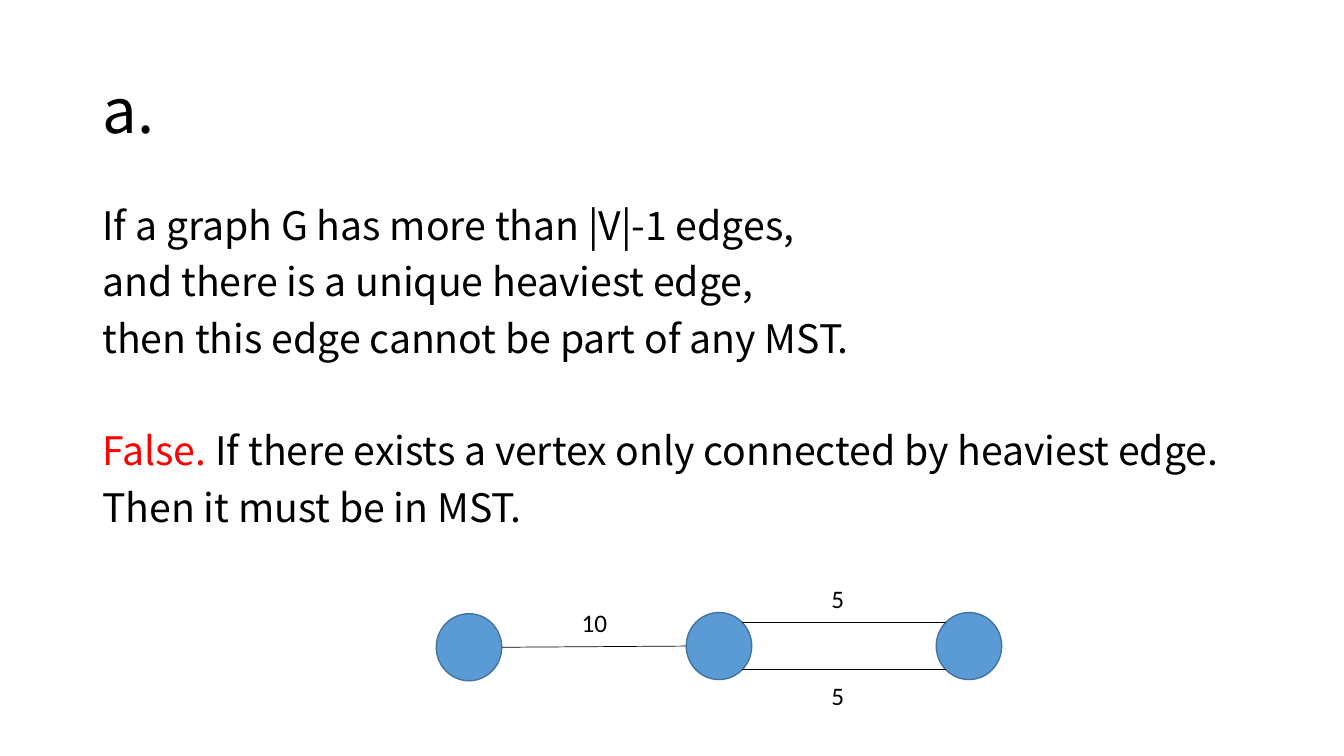
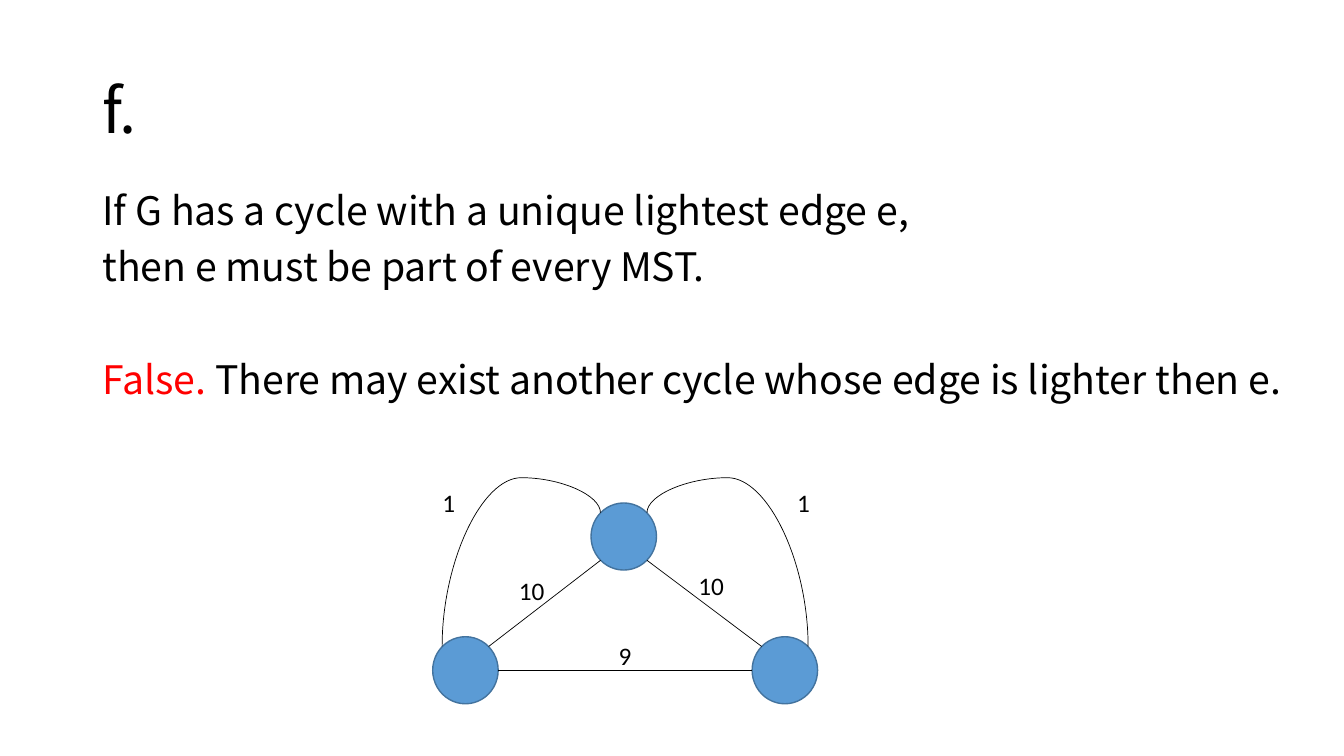
from lxml import etree
from pptx import Presentation
from pptx.dml.color import RGBColor
from pptx.enum.shapes import MSO_CONNECTOR, MSO_SHAPE
from pptx.enum.text import MSO_ANCHOR, MSO_AUTO_SIZE, PP_ALIGN
from pptx.oxml.ns import qn
from pptx.util import Cm, Pt

BLACK = RGBColor(0x00, 0x00, 0x00)
RED = RGBColor(0xFF, 0x00, 0x00)
BLUE = RGBColor(0x5B, 0x9B, 0xD5)
RIM = RGBColor(0x43, 0x73, 0x9E)
FONT = "Noto Sans CJK SC"
LABEL_FONT = "Calibri"
OVAL = MSO_SHAPE.OVAL
STRAIGHT, CURVE = MSO_CONNECTOR.STRAIGHT, MSO_CONNECTOR.CURVE
LEFT = PP_ALIGN.LEFT
TOP, MIDDLE = MSO_ANCHOR.TOP, MSO_ANCHOR.MIDDLE
NO_FIT = MSO_AUTO_SIZE.NONE

# All places and sizes are in centimetres.
SIZE = (33.87, 19.05)
TITLE = (2.33, 1.02, 29.21, 3.68)
NODE = (1.65, 1.69)
LABEL = (1.5, 1.02)

# Line pitch, and the points before a paragraph and before the answer.
PITCH = 0.9
PARA_GAP, PART_GAP = 10, 50.3

# Points on the rim of a node, as parts of its two radii.
DIAG = 0.71
SITES = {
    "left": (-1, 0), "right": (1, 0),
    "top left": (-DIAG, -DIAG), "top right": (DIAG, -DIAG),
    "low left": (-DIAG, DIAG), "low right": (DIAG, DIAG),
}

SLIDES = [
    {
        "title": "a.",
        "body": (2.33, 5.08, 29.21, 9),
        "claim": ["If a graph G has more than |V|-1 edges,",
                  "and there is a unique heaviest edge,",
                  "then this edge cannot be part of any MST."],
        "reason": ["If there exists a vertex only connected by heaviest edge.",
                   "Then it must be in MST."],
        "nodes": {"A": (11.82, 16.31), "B": (18.12, 16.28), "C": (24.42, 16.28)},
        "edges": [("A", "right", "B", "left"),
                  ("B", "top right", "C", "top left"),
                  ("B", "low right", "C", "low left")],
        "curves": [],
        "labels": [("10", 14.41, 15.18), ("5", 20.7, 14.58), ("5", 20.7, 17.02)],
    },
    {
        "title": "f.",
        "body": (2.33, 4.7, 30.43, 7),
        "claim": ["If G has a cycle with a unique lightest edge e,",
                  "then e must be part of every MST."],
        "reason": ["There may exist another cycle whose edge is lighter then e."],
        "nodes": {"A": (11.73, 16.89), "B": (15.72, 13.52), "C": (19.78, 16.89)},
        "edges": [("B", "low left", "A", "top right"),
                  ("B", "low right", "C", "top left"),
                  ("A", "right", "C", "left")],
        "curves": [("B", "top left", "A", "top left"),
                   ("B", "top right", "C", "top right")],
        "labels": [("10", 12.83, 14.38), ("10", 17.35, 14.25), ("9", 15.34, 16),
                   ("1", 10.9, 12.16), ("1", 19.84, 12.16)],
    },
]


def place(shape, box):
    shape.left, shape.top, shape.width, shape.height = map(Cm, box)


def write(shape, paras, size=28, font=FONT, anchor=TOP, pitch=PITCH):
    """Fill a shape; each paragraph is (space before, [(text, colour), ...])."""
    frame = shape.text_frame
    frame.word_wrap = True
    frame.auto_size = NO_FIT
    frame.vertical_anchor = anchor
    for i, (gap, runs) in enumerate(paras):
        para = frame.add_paragraph() if i else frame.paragraphs[0]
        para.alignment = LEFT
        para.line_spacing = pitch
        para.space_before = Pt(gap)
        for text, color in runs:
            run = para.add_run()
            run.text = text
            run.font.size = Pt(size)
            run.font.name = font
            run.font.color.rgb = color


def add_text(slide, box, paras, **style):
    write(slide.shapes.add_textbox(*map(Cm, box)), paras, **style)


def add_body(slide, box, claim, reason):
    paras = [(PARA_GAP if i else 0, [(line, BLACK)]) for i, line in enumerate(claim)]
    paras.append((PART_GAP, [("False. ", RED), (reason[0], BLACK)]))
    paras += [(PARA_GAP, [(line, BLACK)]) for line in reason[1:]]
    add_text(slide, box, paras)


def add_node(slide, x, y):
    w, h = NODE
    node = slide.shapes.add_shape(OVAL, *map(Cm, (x - w / 2, y - h / 2, w, h)))
    node.shadow.inherit = False
    node.fill.solid()
    node.fill.fore_color.rgb = BLUE
    node.line.color.rgb = RIM
    node.line.width = Pt(1)


def rim(center, site):
    return [c + part * size / 2 for c, part, size in zip(center, SITES[site], NODE)]


def add_line(slide, kind, *ends):
    line = slide.shapes.add_connector(kind, *map(Cm, ends))
    line.line.color.rgb = BLACK
    line.line.width = Pt(0.5)
    etree.SubElement(line._element.spPr, qn("a:effectLst"))
    return line


def add_arc(slide, x1, y1, x2, y2):
    """Draw a curve that leaves upwards and comes down on the lower end."""
    midx, midy = (x1 + x2) / 2, (y1 + y2) / 2
    w, h = abs(y2 - y1), abs(x2 - x1)
    arc = add_line(slide, CURVE, midx - w / 2, midy - h / 2, midx + w / 2, midy + h / 2)
    props = arc._element.spPr
    frame = props.find(qn("a:xfrm"))
    frame.set("rot", "16200000")
    frame.set("flipH", "1")
    if x2 < x1:
        frame.set("flipV", "1")
    guides = props.find(qn("a:prstGeom")).find(qn("a:avLst"))
    etree.SubElement(guides, qn("a:gd"), name="adj1", fmla="val -26200")


def add_graph(slide, nodes, edges, curves, labels):
    for center in nodes.values():
        add_node(slide, *center)
    for a, out, b, into in edges:
        add_line(slide, STRAIGHT, *rim(nodes[a], out), *rim(nodes[b], into))
    for a, out, b, into in curves:
        add_arc(slide, *rim(nodes[a], out), *rim(nodes[b], into))
    for text, x, y in labels:
        add_text(slide, (x, y, *LABEL), [(0, [(text, BLACK)])],
                 size=18, font=LABEL_FONT, pitch=1.0)


def main():
    deck = Presentation()
    deck.slide_width, deck.slide_height = map(Cm, SIZE)
    layout = deck.slide_layouts.get_by_name("Title Only")
    for page in SLIDES:
        slide = deck.slides.add_slide(layout)
        title = slide.shapes.title
        place(title, TITLE)
        write(title, [(0, [(page["title"], BLACK)])], size=44, anchor=MIDDLE)
        add_body(slide, page["body"], page["claim"], page["reason"])
        add_graph(slide, page["nodes"], page["edges"], page["curves"], page["labels"])
    deck.save("out.pptx")


if __name__ == "__main__":
    main()
